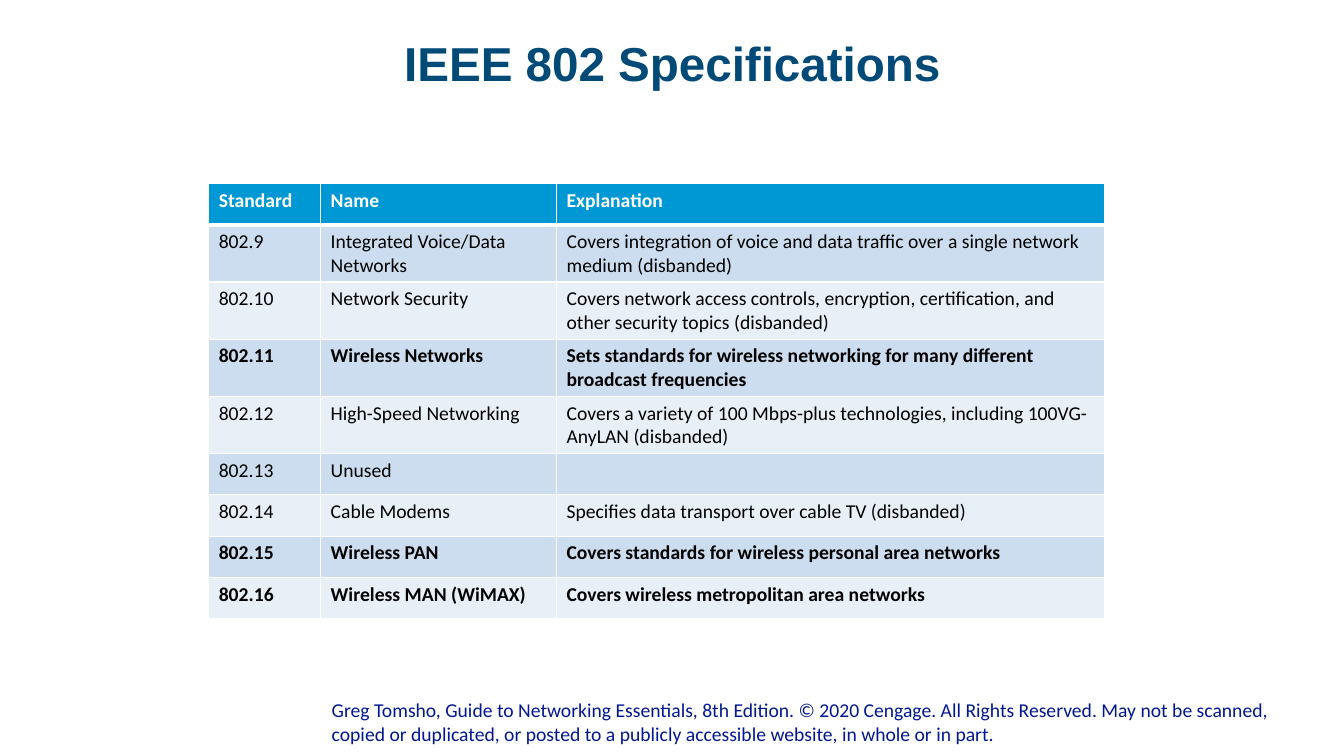
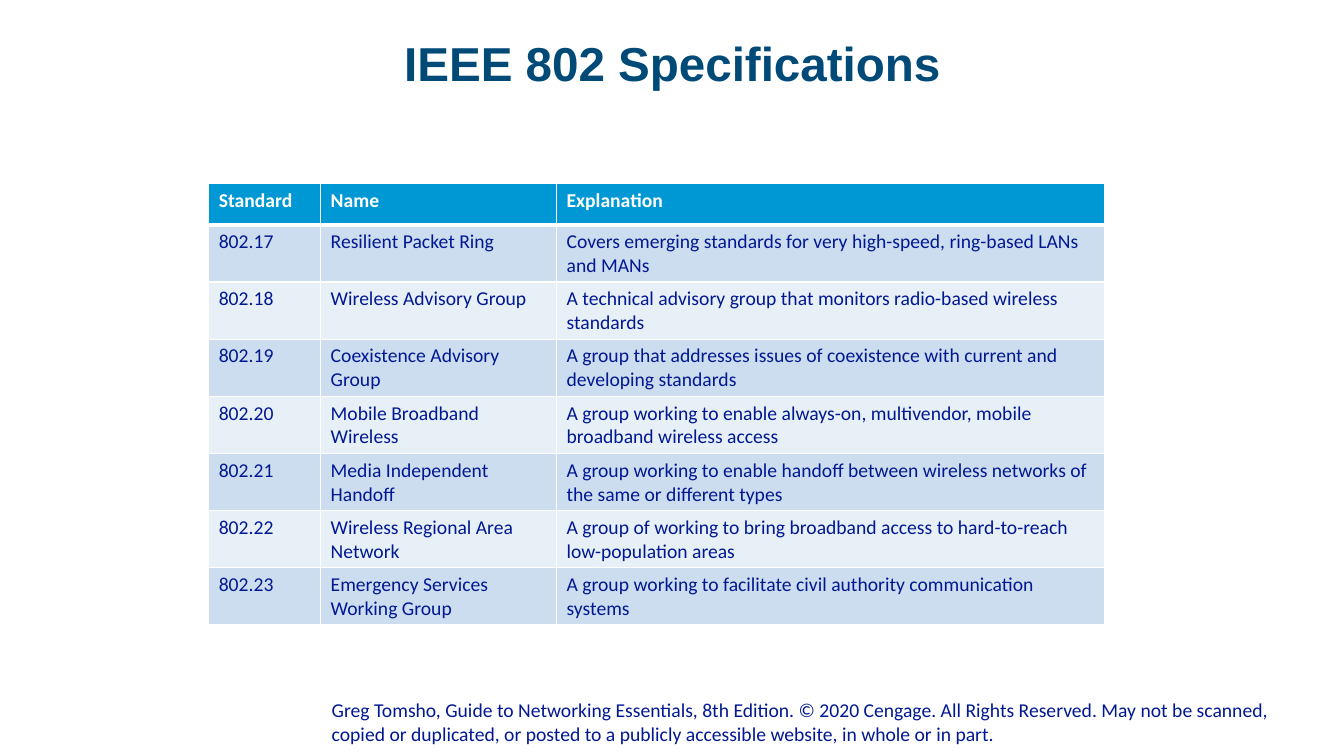
import dataclasses

import lxml.etree
import pptx
import pptx.dml.color
import pptx.enum.text
import pptx.oxml.ns
import pptx.util

Inches = pptx.util.Inches
Pt = pptx.util.Pt


@dataclasses.dataclass(frozen=True)
class Theme:
    title_color: str = "004A78"
    navy: str = "011892"
    black: str = "000000"
    white: str = "FFFFFF"
    header_fill: str = "0098D4"
    band_fills: tuple = ("CCDDEF", "E7EFF7")
    title_font: str = "Arial"
    body_font: str = "Calibri"
    title_size: int = 34
    body_size: int = 14


THEME = Theme()
TITLE = "IEEE 802 Specifications"
COPYRIGHT = (
    "Greg Tomsho, Guide to Networking Essentials, 8th Edition. © 2020 Cengage. "
    "All Rights Reserved. May not be scanned, copied or duplicated, or posted to "
    "a publicly accessible website, in whole or in part."
)
COLUMN_NAMES = ("Standard", "Name", "Explanation")
COLUMN_WIDTHS = (1.11, 2.34, 5.44)
ROW_HEIGHT = 0.41
WIRELESS_STANDARDS = {"802.11", "802.15", "802.16"}

# Each slide: body text colour and its standards
SLIDES = [
    (THEME.black, [
        ("802.9", "Integrated Voice/Data Networks",
         "Covers integration of voice and data traffic over a single network medium (disbanded)"),
        ("802.10", "Network Security",
         "Covers network access controls, encryption, certification, and other security topics (disbanded)"),
        ("802.11", "Wireless Networks",
         "Sets standards for wireless networking for many different broadcast frequencies"),
        ("802.12", "High-Speed Networking",
         "Covers a variety of 100 Mbps-plus technologies, including 100VG-AnyLAN (disbanded)"),
        ("802.13", "Unused", ""),
        ("802.14", "Cable Modems", "Specifies data transport over cable TV (disbanded)"),
        ("802.15", "Wireless PAN", "Covers standards for wireless personal area networks"),
        ("802.16", "Wireless MAN (WiMAX)", "Covers wireless metropolitan area networks"),
    ]),
    (THEME.navy, [
        ("802.17", "Resilient Packet Ring",
         "Covers emerging standards for very high-speed, ring-based LANs and MANs"),
        ("802.18", "Wireless Advisory Group",
         "A technical advisory group that monitors radio-based wireless standards"),
        ("802.19", "Coexistence Advisory Group",
         "A group that addresses issues of coexistence with current and developing standards"),
        ("802.20", "Mobile Broadband Wireless",
         "A group working to enable always-on, multivendor, mobile broadband wireless access"),
        ("802.21", "Media Independent Handoff",
         "A group working to enable handoff between wireless networks of the same or different types"),
        ("802.22", "Wireless Regional Area Network",
         "A group of working to bring broadband access to hard-to-reach low-population areas"),
        ("802.23", "Emergency Services Working Group",
         "A group working to facilitate civil authority communication systems"),
    ]),
]


def write_text(frame, text, *, color, size=THEME.body_size, font=THEME.body_font,
               bold=False, align=None, line_spacing=None):
    paragraph = frame.paragraphs[0]
    paragraph.alignment = align
    paragraph.line_spacing = line_spacing
    run = paragraph.add_run()
    run.text = text
    run.font.name = font
    run.font.size = Pt(size)
    run.font.bold = bold
    run.font.color.rgb = pptx.dml.color.RGBColor.from_string(color)


def style_cell(cell, fill, top, bottom):
    """Give the cell a fill and white borders; top and bottom are widths in points."""
    properties = cell._tc.get_or_add_tcPr()
    for side, width in (("L", 1), ("R", 1), ("T", top), ("B", bottom)):
        border = lxml.etree.SubElement(
            properties, pptx.oxml.ns.qn(f"a:ln{side}"), w=str(Pt(width)))
        solid = lxml.etree.SubElement(border, pptx.oxml.ns.qn("a:solidFill"))
        lxml.etree.SubElement(solid, pptx.oxml.ns.qn("a:srgbClr"), val=THEME.white)
    cell.fill.solid()
    cell.fill.fore_color.rgb = pptx.dml.color.RGBColor.from_string(fill)


deck = pptx.Presentation()
deck.slide_width = Inches(13.33)
deck.slide_height = Inches(7.5)

for body_color, standards in SLIDES:
    slide = deck.slides.add_slide(deck.slide_layouts[6])

    footer = slide.shapes.add_textbox(
        Inches(3.29), Inches(6.92), Inches(9.79), Inches(0.52)).text_frame
    title = slide.shapes.add_textbox(
        Inches(0.92), Inches(0.4), Inches(11.5), Inches(0.74)).text_frame
    for frame in (footer, title):
        frame.word_wrap = True
        frame.margin_left = frame.margin_right = 0
        frame.margin_top = frame.margin_bottom = 0
    footer.margin_bottom = Inches(0.05)
    footer.vertical_anchor = pptx.enum.text.MSO_ANCHOR.BOTTOM
    write_text(footer, COPYRIGHT, color=THEME.navy)
    write_text(title, TITLE, color=THEME.title_color, size=THEME.title_size,
               font=THEME.title_font, bold=True,
               align=pptx.enum.text.PP_ALIGN.CENTER, line_spacing=0.9)

    rows = [COLUMN_NAMES, *standards]
    specifications = slide.shapes.add_table(
        len(rows), len(COLUMN_NAMES), Inches(2.07), Inches(1.82),
        Inches(sum(COLUMN_WIDTHS)), Inches(ROW_HEIGHT * len(rows))).table
    specifications.horz_banding = False
    for column, width in zip(specifications.columns, COLUMN_WIDTHS):
        column.width = Inches(width)

    for row_index, row in enumerate(rows):
        specifications.rows[row_index].height = Inches(ROW_HEIGHT)
        is_header = row_index == 0
        fill = THEME.header_fill if is_header else THEME.band_fills[(row_index - 1) % 2]
        for column_index, text in enumerate(row):
            cell = specifications.cell(row_index, column_index)
            style_cell(cell, fill, top=3 if row_index == 1 else 1,
                       bottom=3 if is_header else 1)
            if text:
                write_text(cell.text_frame, text,
                           color=THEME.white if is_header else body_color,
                           bold=is_header or row[0] in WIRELESS_STANDARDS)

deck.save("out.pptx")
